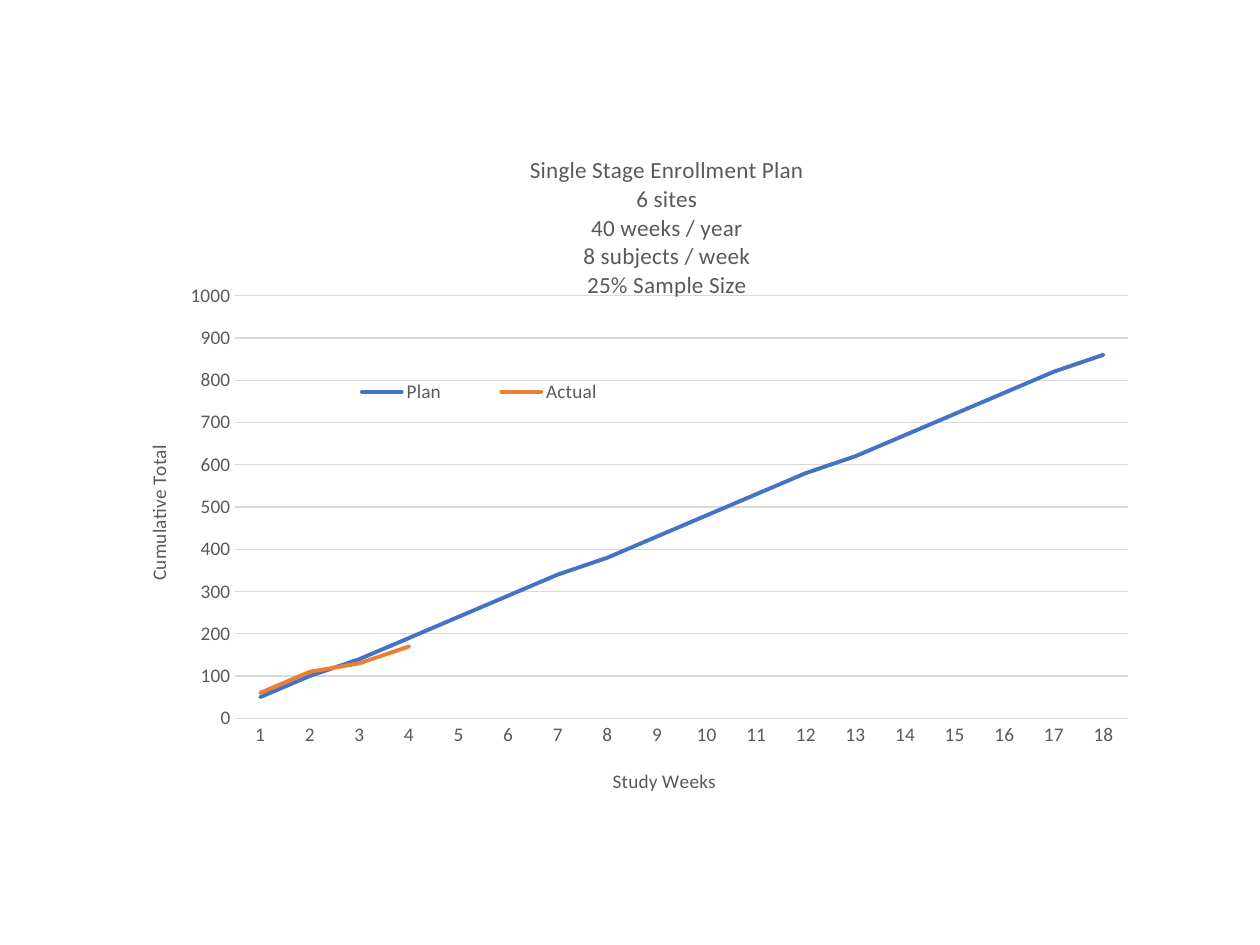
from lxml import etree
from pptx import Presentation
from pptx.chart.data import CategoryChartData
from pptx.dml.color import RGBColor
from pptx.enum import chart as kinds
from pptx.oxml.ns import qn
from pptx.util import Pt

WEEKS = [str(week) for week in range(1, 19)]
SERIES = [
    ("Plan", "4472C4", [50, 100, 140, 190, 240, 290, 340, 380, 430,
                        480, 530, 580, 620, 670, 720, 770, 820, 860]),
    ("Actual", "ED7D31", [60, 110, 130, 170] + [None] * 14),
]
HEADING = ["Single Stage Enrollment Plan", "6 sites", "40 weeks / year",
           "8 subjects / week", "25% Sample Size"]
GRAY, GRID = "595959", "D9D9D9"
FRAME = (63.36, 50.4, 593.28, 439.2)
PLACES = {
    "heading": {"x": 0.4, "y": 0.08},
    "weeks": {"x": 0.48, "y": 0.88},
    "total": {"x": 0.03, "y": 0.46},
    "plot": {"x": 0.12, "y": 0.27, "w": 0.86, "h": 0.55},
    "legend": {"x": 0.19, "y": 0.37, "w": 0.33, "h": 0.05},
}


def color(value):
    return RGBColor.from_string(value)


def style_font(font, size=11):
    for name, value in {"name": "Calibri", "size": Pt(size), "bold": False}.items():
        setattr(font, name, value)
    font.color.rgb = color(GRAY)


def style_line(line, value, width):
    line.color.rgb = color(value)
    line.width = Pt(width)


def place(element, index, spot):
    for old in element.findall(qn("c:layout")):
        element.remove(old)
    layout = etree.Element(qn("c:layout"))
    manual = etree.SubElement(layout, qn("c:manualLayout"))
    rules = {"xMode": "edge", "yMode": "edge", **spot}
    if element.tag == qn("c:plotArea"):
        rules = {"layoutTarget": "inner", **rules}
    for name, value in rules.items():
        etree.SubElement(manual, qn("c:" + name)).set("val", str(value))
    element.insert(index, layout)


def write_title(owner, lines, size, spot):
    title = getattr(owner, "chart_title", None) or owner.axis_title
    frame = title.text_frame
    frame.text = "\n".join(lines)
    for paragraph in frame.paragraphs:
        style_font(paragraph.font, size)
        for run in paragraph.runs:
            style_font(run.font, size)
    place(title._element, 1, spot)
    return frame


deck = Presentation()
deck.slide_width, deck.slide_height = Pt(720), Pt(540)
slide = deck.slides.add_slide(deck.slide_layouts[6])

data = CategoryChartData()
data.categories = WEEKS
for name, _, values in SERIES:
    data.add_series(name, values)
enrollment = slide.shapes.add_chart(
    kinds.XL_CHART_TYPE.LINE, *map(Pt, FRAME), data).chart
style_font(enrollment.font)

write_title(enrollment, HEADING, 13.2, PLACES["heading"])
weeks, total = enrollment.category_axis, enrollment.value_axis
write_title(weeks, ["Study Weeks"], 11, PLACES["weeks"])
total_title = write_title(total, ["Cumulative Total"], 11, PLACES["total"])
total_title._txBody.find(qn("a:bodyPr")).set("rot", "-5400000")

for axis in (weeks, total):
    axis.major_tick_mark = axis.minor_tick_mark = kinds.XL_TICK_MARK.NONE
    style_font(axis.tick_labels.font)
style_line(weeks.format.line, GRID, 0.75)
total.format.line.fill.background()
for name, value in {"minimum_scale": 0, "maximum_scale": 1000, "major_unit": 100,
                    "has_major_gridlines": True}.items():
    setattr(total, name, value)
style_line(total.major_gridlines.format.line, GRID, 0.75)

plot = enrollment.plots[0]
plot.vary_by_categories = False
for series, (_, hue, _) in zip(plot.series, SERIES):
    series.smooth = False
    series.marker.style = kinds.XL_MARKER_STYLE.NONE
    style_line(series.format.line, hue, 2.25)
    series.format.line._ln.set("cap", "rnd")
place(enrollment._chartSpace.chart.plotArea, 0, PLACES["plot"])

enrollment.has_legend = True
legend = enrollment.legend
legend.position = kinds.XL_LEGEND_POSITION.BOTTOM
legend.include_in_layout = False
style_font(legend.font)
place(legend._element, 1, PLACES["legend"])

deck.save("out.pptx")
